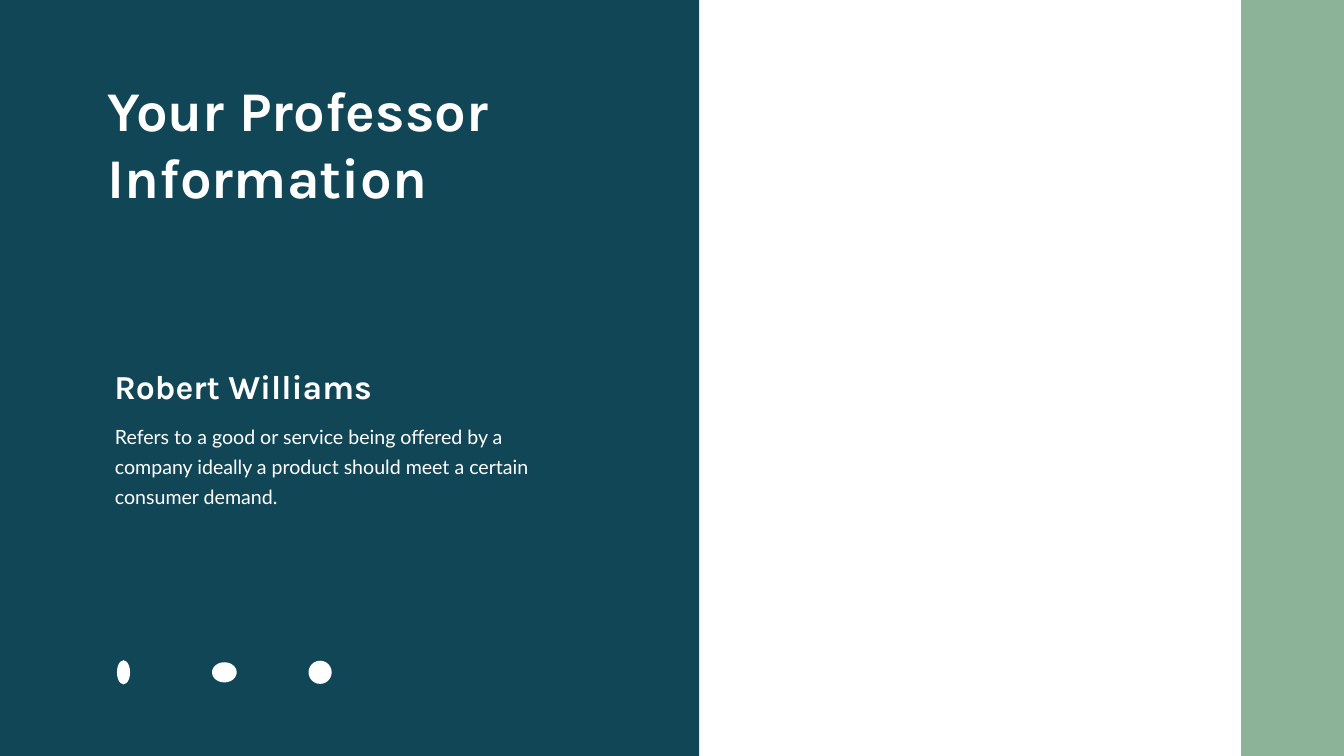
from lxml import etree
from pptx import Presentation
from pptx.dml.color import RGBColor
from pptx.enum.shapes import MSO_SHAPE
from pptx.oxml.ns import qn
from pptx.util import Inches, Pt

RECT = MSO_SHAPE.RECTANGLE
OVAL = MSO_SHAPE.OVAL
WHITE, TEAL, GREEN = "FFFFFF", "114656", "70A17F"


def add_filled(kind, x, y, w, h, color, alpha=None):
    """Add a borderless shape; alpha is its opacity in percent."""
    s = slide.shapes.add_shape(kind, Inches(x), Inches(y), Inches(w), Inches(h))
    s.shadow.inherit = False
    s.fill.solid()
    s.fill.fore_color.rgb = RGBColor.from_string(color)
    s.line.fill.background()
    if alpha is not None:
        clr = s.fill._xPr.find(qn("a:solidFill"))[0]
        etree.SubElement(clr, qn("a:alpha"), val=str(alpha * 1000))


def add_text(text, x, y, w, h, size, font, bold=False, spacing=None, inset=(0.1, 0.05)):
    """Add a white wrapped text box; inset is (horizontal, vertical)."""
    s = slide.shapes.add_textbox(Inches(x), Inches(y), Inches(w), Inches(h))
    tf = s.text_frame
    tf.word_wrap = True
    tf.margin_left = tf.margin_right = Inches(inset[0])
    tf.margin_top = tf.margin_bottom = Inches(inset[1])
    p = tf.paragraphs[0]
    if spacing:
        p.line_spacing = Pt(spacing)
    r = p.add_run()
    r.text = text
    r.font.size = Pt(size)
    r.font.name = font
    r.font.bold = bold
    r.font.color.rgb = RGBColor.from_string(WHITE)


prs = Presentation()
prs.slide_width, prs.slide_height = Inches(26.66), Inches(15)
slide = prs.slides.add_slide(prs.slide_layouts[6])
slide.background.fill.solid()
slide.background.fill.fore_color.rgb = RGBColor.from_string(WHITE)

# Side panels
add_filled(RECT, 0, 0, 13.87, 15, TEAL)
add_filled(RECT, 24.62, 0, 2.04, 15, GREEN, alpha=80)

# Title and professor details
add_text("Your Professor Information", 2.04, 1.45, 8.69, 2.79, 80, "Karla", bold=True)
add_text("Refers to a good or service being offered by a company ideally a product "
         "should meet a certain consumer demand.",
         2.04, 8.18, 8.69, 1.98, 28, "Lato", spacing=43, inset=(0.24, 0.12))
add_text("Robert Williams", 2.17, 7.22, 5.72, 0.91, 48, "Karla", bold=True)

# Contact markers, centred on one line
for center_x, w, h in [(2.45, 0.26, 0.48), (4.45, 0.49, 0.4), (6.35, 0.46, 0.46)]:
    add_filled(OVAL, center_x - w / 2, 13.34 - h / 2, w, h, WHITE)

prs.save("out.pptx")
